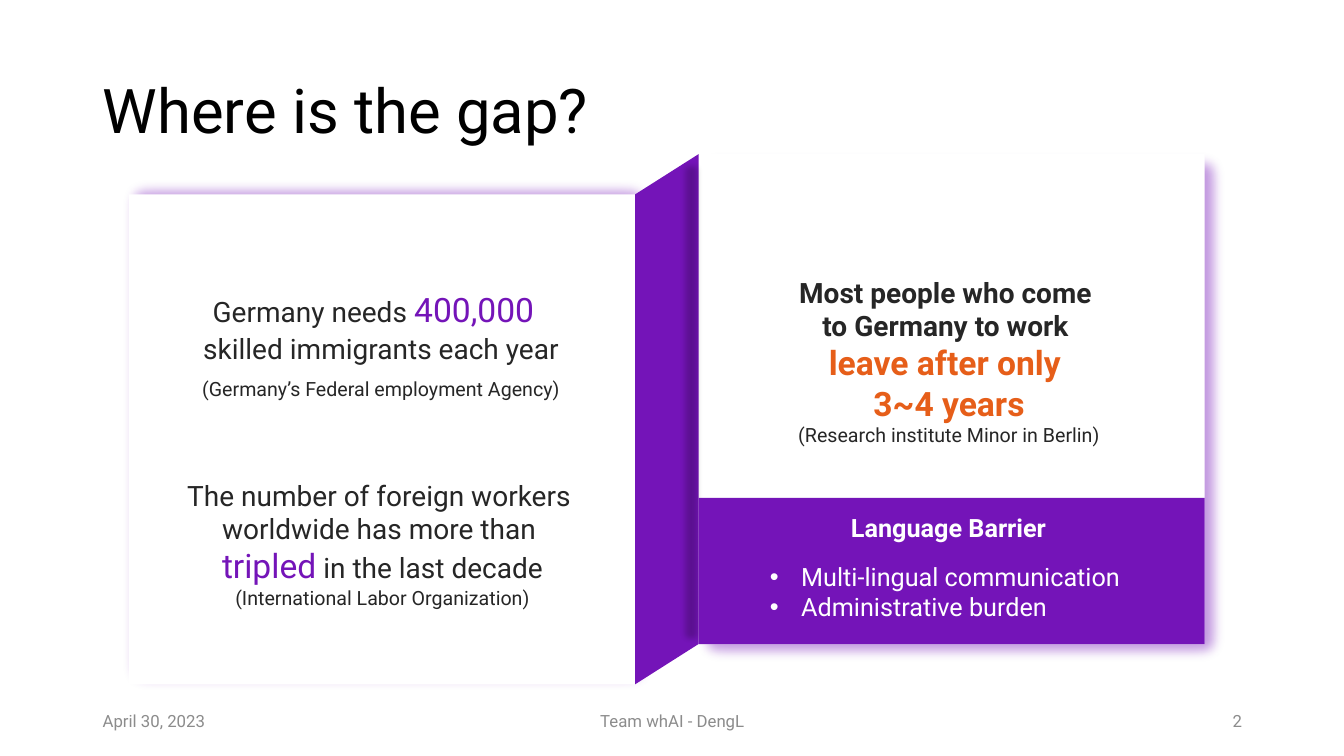
"""Build the slide on the gap between needed and staying workers."""
import lxml.etree
import pptx
import pptx.dml.color
import pptx.enum.shapes
import pptx.enum.text
import pptx.oxml.ns
import pptx.util

HUES = {"white": "FFFFFF", "black": "000000", "ink": "262626", "grey": "8C8C8C",
        "violet": "7414B8", "orange": "E65E19"}
FONT = "Roboto"
CELL = pptx.util.Inches(0.1)
WIDE, HIGH = 133.33, 75
CARD = (50.2, 48.6)
LEFT = (12.8, 19.3, *CARD)
RIGHT = (69.3, 15.3, *CARD)
ALIGN = pptx.enum.text.PP_ALIGN
ANCHOR = pptx.enum.text.MSO_ANCHOR
FIT = pptx.enum.text.MSO_AUTO_SIZE


def grid(*cells):
    """Turn grid cells into slide lengths."""
    return [round(cell * CELL) for cell in cells]


def inside(box, left, top, width, height):
    """Shift a local box by the corner of its region."""
    return box[0] + left, box[1] + top, width, height


def tag(parent, name, **attrs):
    """Add a drawing element to a parent."""
    return lxml.etree.SubElement(parent, pptx.oxml.ns.qn("a:" + name), **attrs)


def paint(shape, hue):
    """Fill a shape flat, without line or shadow."""
    shape.shadow.inherit = False
    shape.fill.solid()
    shape.fill.fore_color.rgb = pptx.dml.color.RGBColor.from_string(HUES[hue])
    shape.line.fill.background()


def block(slide, box, hue):
    """Draw a plain rectangle."""
    shape = slide.shapes.add_shape(pptx.enum.shapes.MSO_SHAPE.RECTANGLE, *grid(*box))
    paint(shape, hue)
    return shape


def glow(slide, box, hue, alpha, blur):
    """Draw a sheer rectangle with soft edges."""
    props = block(slide, box, hue)._element.spPr
    shade = props.find(".//" + pptx.oxml.ns.qn("a:srgbClr"))
    tag(shade, "alpha", val=str(alpha * 1000))
    effects = props.find(pptx.oxml.ns.qn("a:effectLst"))
    tag(effects, "softEdge", rad=str(pptx.util.Pt(blur)))


def write(para, runs, align=ALIGN.CENTER):
    """Fill a paragraph with runs of text, size, hue and weight."""
    para.alignment = align
    for text, size, hue, bold in runs:
        for row, part in enumerate(text.split("\n")):
            if row:
                para.add_line_break()
                tag(para._p[-1], "rPr", sz=str(size * 100))
            if part:
                run = para.add_run()
                run.text = part
                run.font.name = FONT
                run.font.size = pptx.util.Pt(size)
                run.font.bold = bold
                run.font.color.rgb = pptx.dml.color.RGBColor.from_string(HUES[hue])


def fill(frame, paras, align=ALIGN.CENTER):
    """Write a list of paragraphs into a text frame."""
    for row, runs in enumerate(paras):
        write(frame.add_paragraph() if row else frame.paragraphs[0], runs, align)


def label(slide, box, paras, align=ALIGN.CENTER, anchor=ANCHOR.TOP):
    """Add a wrapped text box."""
    frame = slide.shapes.add_textbox(*grid(*box)).text_frame
    frame.word_wrap = True
    frame.vertical_anchor = anchor
    fill(frame, paras, align)
    return frame


def place(slide, holder, box, anchor):
    """Move a placeholder to the front and return its text frame."""
    slide.shapes._spTree.append(holder._element)
    holder.left, holder.top, holder.width, holder.height = grid(*box)
    frame = holder.text_frame
    frame.word_wrap = True
    frame.auto_size = FIT.NONE
    frame.vertical_anchor = anchor
    return frame


def head(slide, box):
    """Set the slide title."""
    frame = place(slide, slide.shapes.title, box, ANCHOR.MIDDLE)
    fill(frame, [[("Where is the gap?", 44, "black", False)]], ALIGN.LEFT)
    frame.paragraphs[0].line_spacing = 0.9


def panel(slide, box, left, top):
    """Draw a white card above its violet glow."""
    glow(slide, inside(box, left, top, 53.8, 51.9), "violet", 44, 10)
    block(slide, box, "white")


def hinge(slide, near, far):
    """Join two cards with a slanted violet side and a dark fold."""
    start = near[0] + near[2]
    points = [(far[0], far[1]), (far[0], far[1] + far[3]),
              (start, near[1] + near[3]), (start, near[1])]
    pen = slide.shapes.build_freeform(*grid(*points[0]), scale=1.0)
    pen.add_line_segments([grid(*point) for point in points[1:]], close=True)
    paint(pen.convert_to_shape(), "violet")
    glow(slide, inside(far, -2.2, 0.3, 2.9, far[3]), "black", 21, 5)


def need(slide, box):
    """Write the demand for workers on the left card."""
    frame = place(slide, slide.placeholders[1],
                  inside(box, 2.5, 6.9, 45, 16.2), ANCHOR.TOP)
    fill(frame, [
        [("Germany needs ", 20, "ink", False), ("400,000", 24, "violet", False),
         (" \n", 44, "violet", False), ("skilled immigrants each year", 20, "ink", False)],
        [("(Germany’s Federal employment Agency)", 14, "ink", False)]])
    for para in frame.paragraphs:
        para.line_spacing = 0.9
        para.space_before = pptx.util.Pt(10)
        props = para._p.get_or_add_pPr()
        props.set("marL", "0")
        props.set("indent", "0")
        tag(props, "buNone")
    label(slide, inside(box, 2.6, 24.3, 45.1, 17.5), [
        [("\nThe number of foreign workers \nworldwide has more than \n", 20, "ink", False),
         ("tripled", 24, "violet", False), (" in the last decade", 20, "ink", False)],
        [("(International Labor Organization)", 14, "ink", False)]])


def leave(slide, box):
    """Write the early departures on the right card."""
    label(slide, inside(box, 5.7, 11.5, 38.3, 18.2), [
        [("Most people who come ", 20, "ink", True)],
        [("to Germany to work ", 20, "ink", True)],
        [("leave after only ", 24, "orange", True)],
        [("3~4 years", 24, "orange", True)],
        [("(Research institute Minor in Berlin)", 14, "ink", False)]])


def barrier(slide, box):
    """Draw the violet band with its heading and bullets."""
    block(slide, box, "violet")
    frame = label(slide, inside(box, 6.1, 5.8, 44.1, 7.1), [
        [("Multi-lingual communication", 18, "white", False)],
        [("Administrative burden", 18, "white", False)]], ALIGN.LEFT)
    dent = pptx.util.Inches(0.31)
    for para in frame.paragraphs:
        props = para._p.get_or_add_pPr()
        props.set("marL", str(dent))
        props.set("indent", str(-dent))
        tag(props, "buFont", typeface="Arial")
        tag(props, "buChar", char="•")
    label(slide, inside(box, 8.6, 0.9, 32.4, 4),
          [[("Language Barrier", 18, "white", True)]])


def foot(slide, box):
    """Write date, team and page number along the foot."""
    for text, left, width, align in [
            ("April 30, 2023", 0, 30, ALIGN.LEFT),
            ("Team whAI - DengL", (box[2] - 45) / 2, 45, ALIGN.CENTER),
            ("2", box[2] - 30, 30, ALIGN.RIGHT)]:
        label(slide, inside(box, left, 0, width, box[3]),
              [[(text, 12, "grey", False)]], align, ANCHOR.MIDDLE)


def main():
    """Build and save the slide."""
    deck = pptx.Presentation()
    deck.slide_width, deck.slide_height = grid(WIDE, HIGH)
    slide = deck.slides.add_slide(deck.slide_layouts[1])
    panel(slide, RIGHT, -0.9, -0.9)
    panel(slide, LEFT, -1.2, -2.1)
    head(slide, (9.2, 4, 115, 14.5))
    hinge(slide, LEFT, RIGHT)
    need(slide, LEFT)
    leave(slide, RIGHT)
    barrier(slide, inside(RIGHT, 0, 34.1, CARD[0], 14.5))
    foot(slide, (9.2, 69.5, 115, 4))
    deck.save("out.pptx")


if __name__ == "__main__":
    main()
